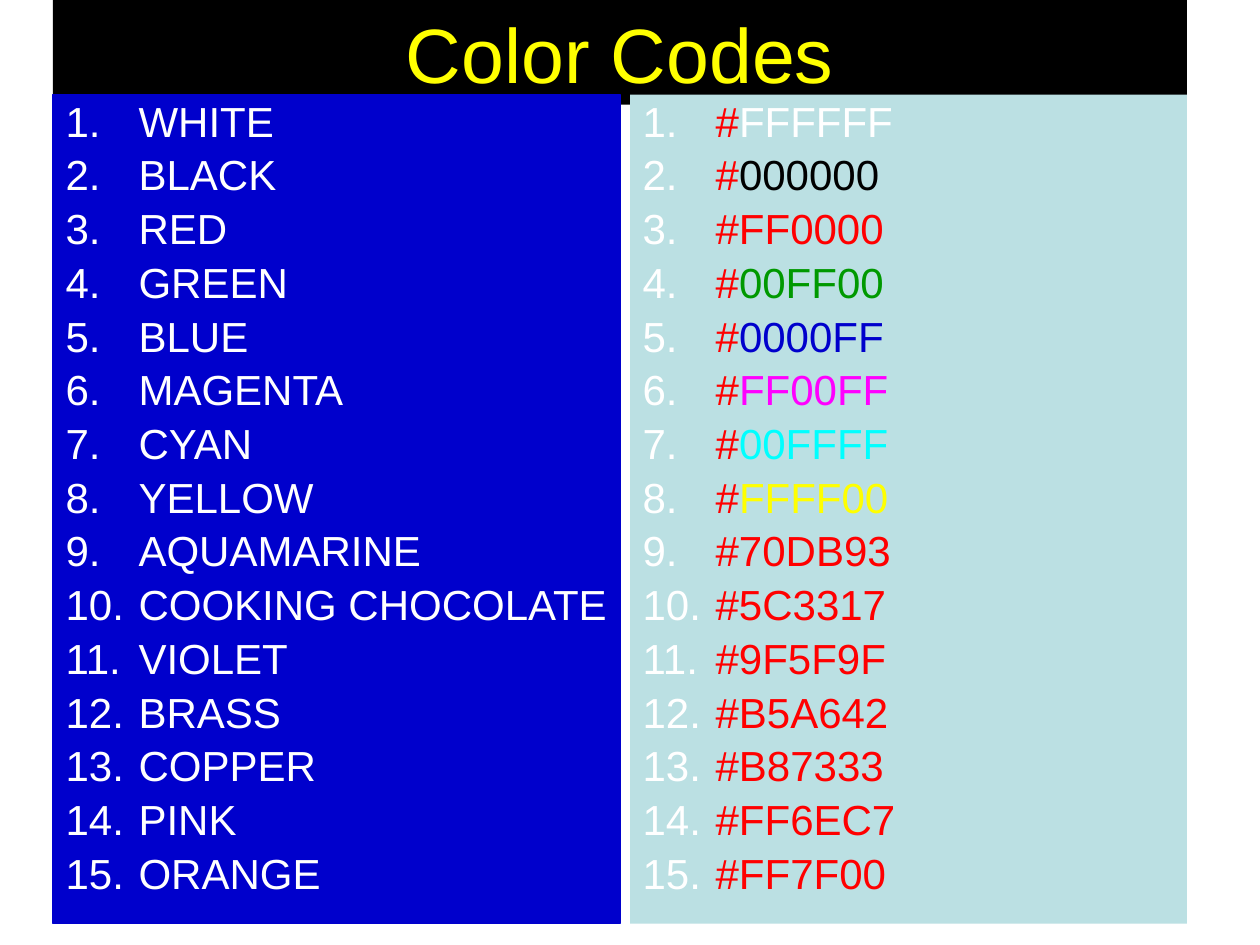
from lxml import etree
from pptx import Presentation
from pptx import util as u
from pptx.dml.color import RGBColor
from pptx.enum import text
from pptx.oxml import ns

PALETTE = {
    "white": "FFFFFF", "black": "000000", "red": "FF0000", "green": "009900",
    "blue": "0000CC", "magenta": "FF00FF", "cyan": "00FFFF",
    "yellow": "FFFF00", "pale": "BBE0E3",
}
COLOR_CODES = [
    ("WHITE", "FFFFFF", "white"),
    ("BLACK", "000000", "black"),
    ("RED", "FF0000", "red"),
    ("GREEN", "00FF00", "green"),
    ("BLUE", "0000FF", "blue"),
    ("MAGENTA", "FF00FF", "magenta"),
    ("CYAN", "00FFFF", "cyan"),
    ("YELLOW", "FFFF00", "yellow"),
    ("AQUAMARINE", "70DB93", "red"),
    ("COOKING CHOCOLATE", "5C3317", "red"),
    ("VIOLET", "9F5F9F", "red"),
    ("BRASS", "B5A642", "red"),
    ("COPPER", "B87333", "red"),
    ("PINK", "FF6EC7", "red"),
    ("ORANGE", "FF7F00", "red"),
]


def add_text(paragraph, words, size=24, color="white"):
    run = paragraph.add_run()
    run.text = words
    run.font.name = "Arial"
    run.font.size = u.Pt(size)
    run.font.color.rgb = RGBColor.from_string(PALETTE[color])


def place(holder, left, top, width, height, fill):
    holder.left, holder.top = u.Inches(left), u.Inches(top)
    holder.width, holder.height = u.Inches(width), u.Inches(height)
    holder.fill.solid()
    holder.fill.fore_color.rgb = RGBColor.from_string(PALETTE[fill])
    holder.text_frame.word_wrap = True
    holder.text_frame.auto_size = text.MSO_AUTO_SIZE.NONE


deck = Presentation()
deck.slide_width, deck.slide_height = u.Inches(10), u.Inches(7.5)
slide = deck.slides.add_slide(deck.slide_layouts.get_by_name("Two Content"))
heading, names, codes = slide.placeholders

place(heading, 0.42, 0, 9, 0.83, "black")
heading.text_frame.vertical_anchor = text.MSO_ANCHOR.MIDDLE
heading.text_frame.paragraphs[0].alignment = text.PP_ALIGN.CENTER
add_text(heading.text_frame.paragraphs[0], "Color Codes", size=44, color="yellow")

place(names, 0.42, 0.75, 4.5, 6.58, "blue")
names.line.color.rgb = RGBColor.from_string(PALETTE["blue"])
names.line.width = u.Pt(0.75)
place(codes, 5, 0.75, 4.42, 6.58, "pale")

name_rows = [[(name, "white")] for name, code, color in COLOR_CODES]
code_rows = [[("#", "red"), (code, color)] for name, code, color in COLOR_CODES]

for column, rows in ((names, name_rows), (codes, code_rows)):
    for index, row in enumerate(rows):
        frame = column.text_frame
        item = frame.add_paragraph() if index else frame.paragraphs[0]
        item.line_spacing = 0.9
        for words, color in row:
            add_text(item, words, color=color)
        numbering = item._p.get_or_add_pPr()
        numbering.set("marL", str(u.Inches(0.58)))
        numbering.set("indent", str(-u.Inches(0.58)))
        number_color = etree.SubElement(numbering, ns.qn("a:buClr"))
        etree.SubElement(number_color, ns.qn("a:srgbClr"), val=PALETTE["white"])
        etree.SubElement(numbering, ns.qn("a:buFont"), typeface="Arial")
        etree.SubElement(numbering, ns.qn("a:buAutoNum"), type="arabicPeriod")

deck.save("out.pptx")
